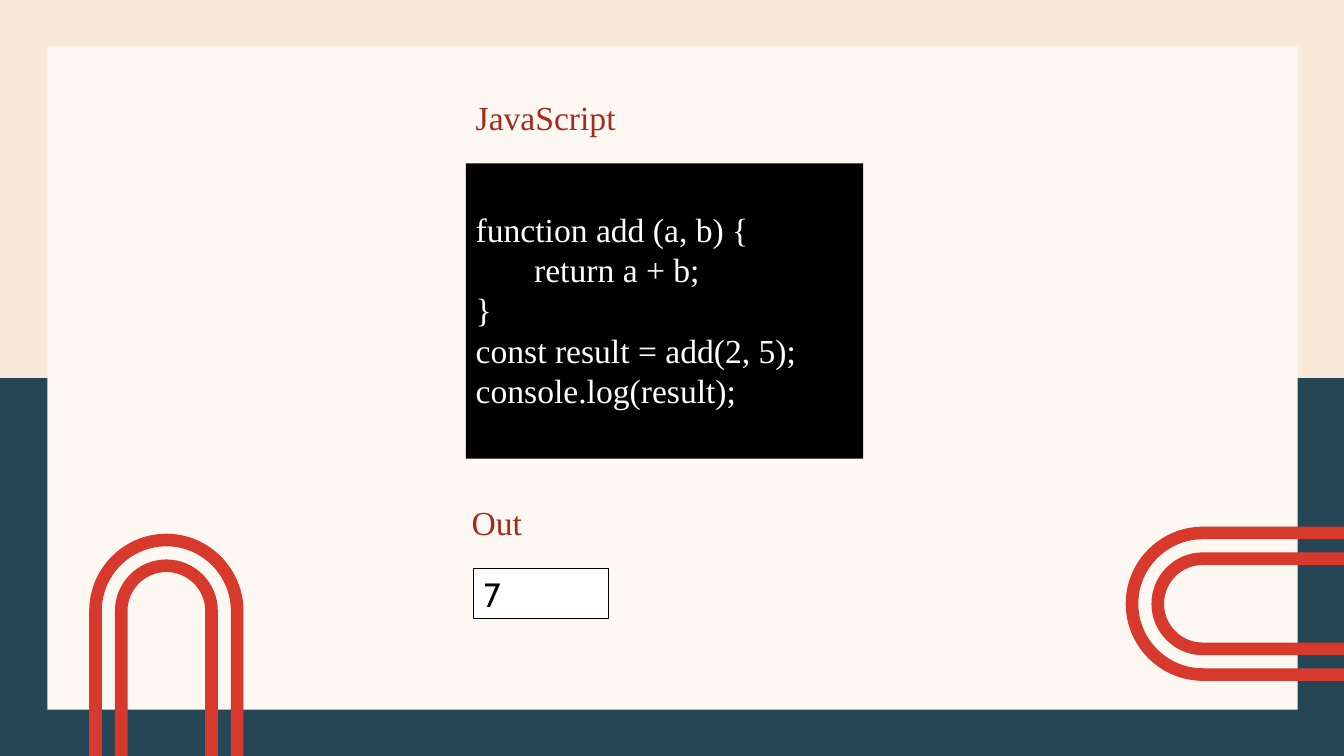
import pptx
import pptx.util
import pptx.dml.color
import pptx.enum.shapes
import pptx.enum.text
import pptx.oxml.ns

RGBColor = pptx.dml.color.RGBColor
qn = pptx.oxml.ns.qn
SAND = RGBColor(0xF8, 0xE9, 0xD8)
NAVY = RGBColor(0x24, 0x46, 0x55)
CREAM = RGBColor(0xFE, 0xF8, 0xF2)
RED = RGBColor(0xD7, 0x3A, 0x2C)
BRICK = RGBColor(0xA3, 0x2A, 0x1F)
BLACK = RGBColor(0, 0, 0)
WHITE = RGBColor(0xFF, 0xFF, 0xFF)

W, H = 13.33, 7.5
SERIF, SANS = "Times New Roman", "Cabin"
BAND = 0.125
RADII = (0.765, 0.51)
ROUND = 0.55
CURVE_STARTS = (1, 4, 10, 13)
CODE = [
    ("function add (a, b) {", 0),
    ("return a + b;", 0.58),
    ("}", 0),
    ("const result = add(2, 5);", 0),
    ("console.log(result);", 0),
]


def inches(*values):
    return [pptx.util.Inches(v) for v in values]


def paint(sp, fill, line=None):
    sp.shadow.inherit = False
    sp.fill.solid()
    sp.fill.fore_color.rgb = fill
    if line is None:
        sp.line.fill.background()
    else:
        sp.line.color.rgb = line
        sp.line.width = pptx.util.Pt(0.75)


def add_rect(slide, box, fill, line=None):
    sp = slide.shapes.add_shape(pptx.enum.shapes.MSO_SHAPE.RECTANGLE, *inches(*box))
    paint(sp, fill, line)
    return sp


def write(sp, lines, color, font=SERIF, top=0.05):
    tf = sp.text_frame
    frame = {
        "word_wrap": True,
        "vertical_anchor": pptx.enum.text.MSO_ANCHOR.TOP,
        "margin_top": pptx.util.Inches(top),
    }
    for name, value in frame.items():
        setattr(tf, name, value)
    for i, (text, indent) in enumerate(lines):
        p = tf.add_paragraph() if i else tf.paragraphs[0]
        p.alignment = pptx.enum.text.PP_ALIGN.LEFT
        p.line_spacing = pptx.util.Pt(28.8)
        if indent:
            p._p.get_or_add_pPr().set("marL", str(pptx.util.Inches(indent)))
        r = p.add_run()
        r.text = text
        for name, value in {"name": font, "size": pptx.util.Pt(24)}.items():
            setattr(r.font, name, value)
        r.font.color.rgb = color


def add_label(slide, box, text):
    sp = slide.shapes.add_textbox(*inches(*box))
    write(sp, [(text, 0)], BRICK)


def arch_edge(radius, leg):
    k = ROUND * radius
    upper = [(leg, radius), (0, radius), (-k, radius), (-radius, k)]
    return upper + [(-radius, 0)] + [(u, -v) for u, v in reversed(upper)]


def bend(sp):
    segments = list(sp._element.iter(qn("a:lnTo")))
    for start in CURVE_STARTS:
        curve, *others = segments[start:start + 3]
        curve.tag = qn("a:cubicBezTo")
        for other in others:
            curve.append(other[0])
            other.getparent().remove(other)


def add_arches(slide, center, direction, leg):
    cx, cy = center
    dx, dy = direction
    for radius in RADII:
        outline = arch_edge(radius, leg) + arch_edge(radius - BAND, leg)[::-1]
        points = [inches(cx + dx * u - dy * v, cy + dy * u + dx * v) for u, v in outline]
        fb = slide.shapes.build_freeform(*points[0])
        fb.add_line_segments(points[1:], close=True)
        sp = fb.convert_to_shape()
        bend(sp)
        paint(sp, RED)


def add_backdrop(slide, box):
    x, y, w, h = box
    fill = slide.background.fill
    fill.solid()
    fill.fore_color.rgb = SAND
    add_rect(slide, (x, y + h / 2, w, h / 2), NAVY)
    add_rect(slide, (x + 0.47, y + 0.46, w - 0.93, h - 0.92), CREAM)
    right, bottom = (x + w - 1.4, y + h - 1.51), (x + 1.65, y + h - 1.44)
    add_arches(slide, right, (1, 0), x + w - right[0])
    add_arches(slide, bottom, (0, 1), y + h - bottom[1])


def add_example(slide, box):
    x, y, w, h = box
    add_label(slide, (x, y - 0.01, 2.2, 0.5), "JavaScript")
    code = add_rect(slide, (x, y + 0.7, w, 2.93), BLACK)
    write(code, CODE, WHITE, top=0.45)
    add_label(slide, (x - 0.04, y + h - 1.21, 2.2, 0.5), "Out")
    result = add_rect(slide, (x + 0.08, y + h - 0.5, 1.34, 0.5), WHITE, BLACK)
    write(result, [("7", 0)], BLACK, SANS)


def main():
    prs = pptx.Presentation()
    prs.slide_width, prs.slide_height = inches(W, H)
    slide = prs.slides.add_slide(prs.slide_layouts[6])
    add_backdrop(slide, (0, 0, W, H))
    add_example(slide, (4.62, 0.92, 3.94, 5.22))
    prs.save("out.pptx")


if __name__ == "__main__":
    main()
